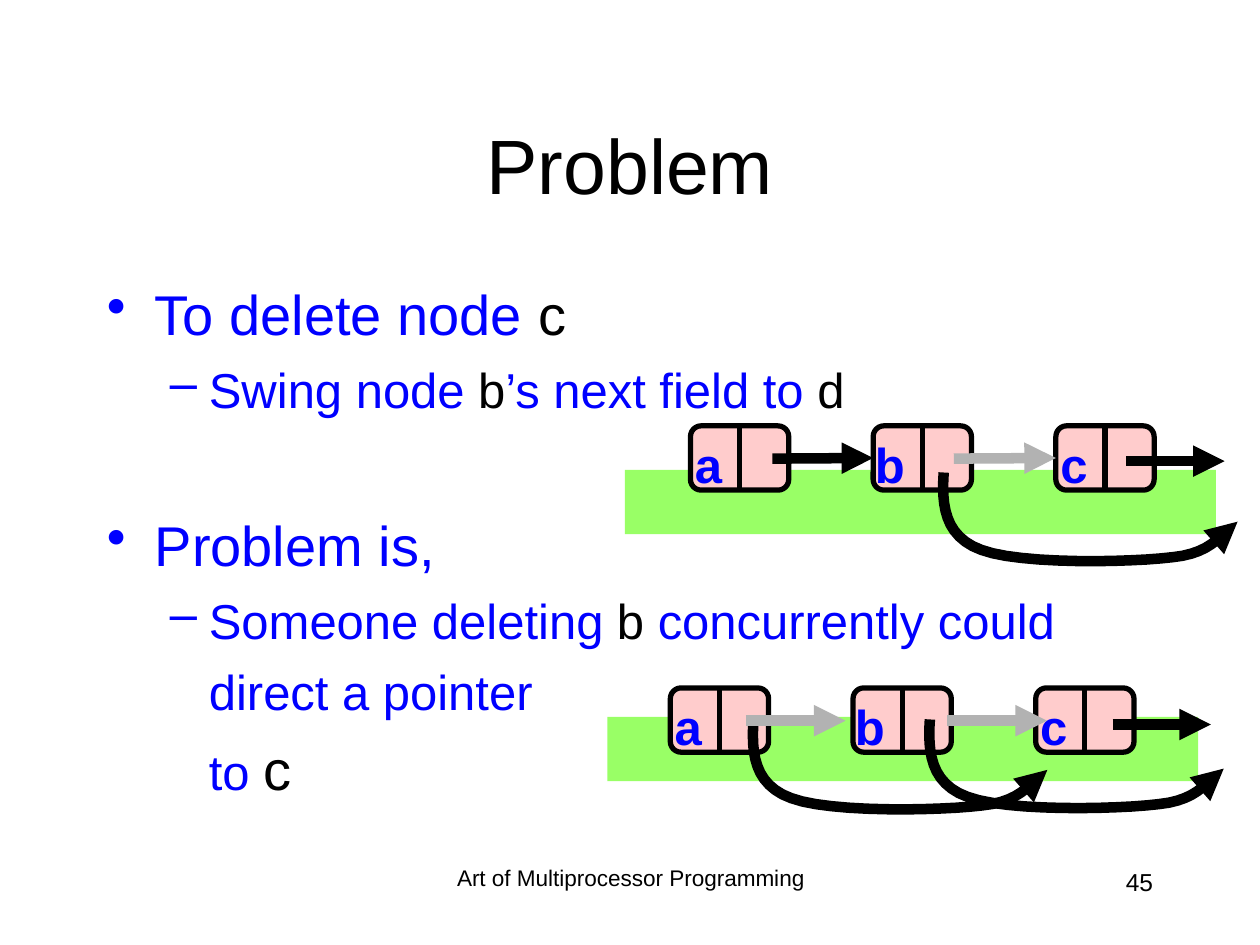
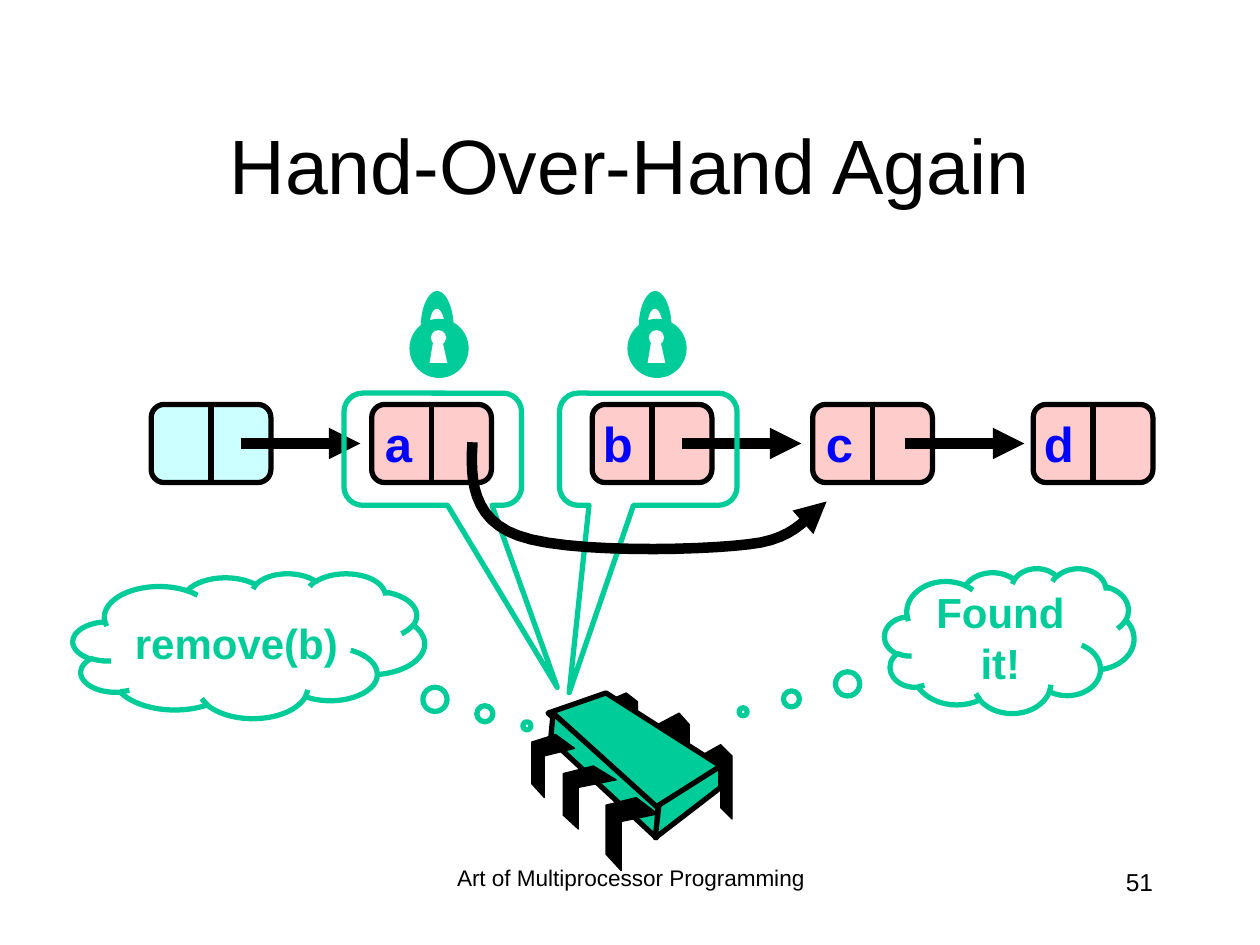
from dataclasses import dataclass
from typing import NamedTuple, Optional

from lxml.etree import SubElement
from pptx import Presentation
from pptx.dml.color import RGBColor
from pptx.enum.shapes import MSO_CONNECTOR, MSO_SHAPE
from pptx.enum.text import MSO_ANCHOR, PP_ALIGN
from pptx.oxml.ns import qn
from pptx.util import Inches, Pt

WIDTH, HEIGHT = Inches(10), Inches(7.5)
COLS, ROWS = 10, 7.5


@dataclass(frozen=True)
class Theme:
    font: str = "Arial"
    black: str = "000000"
    white: str = "FFFFFF"
    blue: str = "0000FF"
    pink: str = "FFCCCC"
    cyan: str = "CCFFFF"
    lime: str = "99FF66"
    gray: str = "B2B2B2"
    green: str = "00CC99"
    title: float = 44
    body: float = 32
    sub: float = 28
    cloud: float = 24
    page: float = 14
    foot: float = 12.9
    hair: float = 0.75
    thin: float = 3
    thick: float = 6


THEME = Theme()


class Box(NamedTuple):
    x: float
    y: float
    w: float
    h: float


class Item(NamedTuple):
    words: tuple
    mark: str
    gap: float
    level: int
    last: float


class Link(NamedTuple):
    x: float
    y: float
    span: float
    color: str = THEME.black
    goal: Optional[int] = None


class Plate(NamedTuple):
    points: tuple
    fill: str = THEME.black
    line: float = THEME.hair


class Bubble(NamedTuple):
    kind: MSO_SHAPE
    box: Box
    tip: tuple
    text: str = ""


MID, RIGHT = PP_ALIGN.CENTER, PP_ALIGN.RIGHT
CLOUD, SPEECH = MSO_SHAPE.CLOUD_CALLOUT, MSO_SHAPE.ROUNDED_RECTANGULAR_CALLOUT

ITEMS = (
    Item(("To delete node ", "c"), "•", 0, 0, THEME.body),
    Item(("Swing node ", "b", "’s next field to ", "d"), "–", 7, 1, THEME.sub),
    Item(("Problem is,",), "•", 53, 0, THEME.body),
    Item(("Someone deleting ", "b", " concurrently could"), "–", 7, 1, THEME.sub),
    Item(("direct a pointer",), "", 7, 1, THEME.sub),
    Item(("to ", "c"), "", 8, 1, THEME.body),
)

HOOK = ((-0.02, 0.3, 0, 0.61, 0.36, 0.74),
        (0.73, 0.88, 1.78, 0.86, 2.19, 0.81),
        (2.6, 0.77, 2.68, 0.54, 2.81, 0.47))

ARCH = ((0.16, 0.21, 0.18, 0.14, 0.22, 0.14),
        (0.25, 0.14, 0.28, 0.21, 0.28, 0.28),
        (0.35, 0.28),
        (0.35, 0.13, 0.29, 0, 0.22, 0),
        (0.15, 0, 0.09, 0.13, 0.09, 0.28))

CHIP = (
    Plate(((5.56, 6), (5.72, 5.91), (5.81, 6), (5.81, 6.5), (5.72, 6.41), (5.72, 6.08), (5.56, 6.16))),
    Plate(((5.22, 5.75), (5.39, 5.66), (5.47, 5.75), (5.47, 6.25), (5.39, 6.16), (5.39, 5.83), (5.22, 5.91))),
    Plate(((4.81, 5.57), (4.97, 5.5), (5.06, 5.57), (5.06, 6), (4.97, 5.93), (4.97, 5.64), (4.81, 5.71))),
    Plate(((4.81, 5.5), (5.72, 6.08), (5.21, 6.43), (4.35, 5.66)), THEME.green, THEME.thin),
    Plate(((4.39, 5.66), (5.22, 6.41), (5.21, 6.65), (4.37, 5.87)), THEME.green, THEME.thin),
    Plate(((5.72, 6.08), (5.72, 6.25), (5.2, 6.65), (5.23, 6.39)), THEME.green, THEME.thin),
    Plate(((5.05, 6.33), (5.22, 6.46), (4.93, 6.52), (4.93, 6.91), (4.81, 6.78), (4.81, 6.39))),
    Plate(((4.71, 6.08), (4.89, 6.19), (4.59, 6.25), (4.59, 6.58), (4.47, 6.47), (4.47, 6.14))),
    Plate(((4.41, 5.83), (4.56, 5.94), (4.32, 6), (4.32, 6.33), (4.22, 6.22), (4.22, 5.89))),
)

BUBBLES = (
    Bubble(SPEECH, Box(4.44, 3.12, 1.41, 0.89), (-0.445, 2.171)),
    Bubble(SPEECH, Box(2.73, 3.12, 1.41, 0.89), (0.701, 2.124)),
    Bubble(CLOUD, Box(0.58, 4.55, 2.79, 1.15), (0.791, 0.553), "remove(b)"),
    Bubble(CLOUD, Box(7.02, 4.51, 1.98, 1.15), (-1.067, 0.491), "Found it!"),
)


def col(n: float) -> int:
    return round(WIDTH * n / COLS)


def row(n: float) -> int:
    return round(HEIGHT * n / ROWS)


def place(box: Box) -> tuple:
    return col(box.x), row(box.y), col(box.w), row(box.h)


def ink(run, size: float, color: str, bold: bool = False) -> None:
    run.font.name, run.font.size, run.font.bold = THEME.font, Pt(size), bold
    run.font.color.rgb = RGBColor.from_string(color)


def fit(frame, text: str, size: float, color: str, align=MID, bold=False, wrap=True, anchor=MSO_ANCHOR.TOP):
    frame.text = text
    frame.word_wrap, frame.vertical_anchor = wrap, anchor
    para = frame.paragraphs[0]
    para.alignment = align
    ink(para.runs[0], size, color, bold)
    return para


def write(slide, box: Box, *text, **style):
    return fit(slide.shapes.add_textbox(*place(box)).text_frame, *text, **style)


def stroke(line, color: str, width: float) -> None:
    line.color.rgb = RGBColor.from_string(color)
    line.width = Pt(width)


def paint(shape, fill: str = "", color: str = "", width: float = THEME.thin):
    shape.shadow.inherit = False
    if fill:
        shape.fill.solid()
        shape.fill.fore_color.rgb = RGBColor.from_string(fill)
    else:
        shape.fill.background()
    if color:
        stroke(shape.line, color, width)
    else:
        shape.line.fill.background()
    return shape


def add(slide, kind: MSO_SHAPE, box: Box, *style):
    return paint(slide.shapes.add_shape(kind, *place(box)), *style)


def point(shape) -> None:
    SubElement(shape.element.spPr.find(qn("a:ln")), qn("a:tailEnd"), type="triangle")


def join(slide, x: float, y: float, to_x: float, to_y: float, color: str, width: float):
    wire = slide.shapes.add_connector(MSO_CONNECTOR.STRAIGHT, col(x), row(y), col(to_x), row(to_y))
    stroke(wire.line, color, width)
    SubElement(wire.element.spPr, qn("a:effectLst"))
    return wire


def trace(start: tuple, moves: tuple, steps: int = 12) -> list:
    dots = [start]
    for move in moves:
        if len(move) == 2:
            dots.append(move)
            continue
        ends = (dots[-1], move[:2], move[2:4], move[4:])
        for step in range(1, steps + 1):
            t = step / steps
            pulls = ((1 - t) ** 3, 3 * t * (1 - t) ** 2, 3 * t * t * (1 - t), t ** 3)
            dots.append(tuple(sum(p * end[axis] for p, end in zip(pulls, ends)) for axis in (0, 1)))
    return dots


def outline(slide, dots, x: float = 0, y: float = 0, scale: float = 1, close: bool = True):
    spots = [(col(x + a * scale), row(y + b * scale)) for a, b in dots]
    pen = slide.shapes.build_freeform(*spots[0])
    pen.add_line_segments(spots[1:], close=close)
    return pen.convert_to_shape()


def hook(slide, x: float, y: float, scale: float = 1) -> None:
    curve = outline(slide, trace((0, 0), HOOK), x, y, scale, False)
    point(paint(curve, "", THEME.black, THEME.thick))


def node(slide, box: Box, label: str, edge: float, fill: str = THEME.pink):
    cell = add(slide, MSO_SHAPE.ROUNDED_RECTANGLE, box, fill, THEME.black)
    mid = box.x + box.w / 2
    wall = join(slide, mid, box.y, mid, box.y + box.h, THEME.black, THEME.thin)
    wall.begin_connect(cell, 0)
    wall.end_connect(cell, 2)
    if label:
        spot = Box(box.x + edge - 0.44, box.y + 0.02, 0.44, 0.57)
        write(slide, spot, label, THEME.sub, THEME.blue, align=RIGHT, bold=True, wrap=False)
    return cell


def arrow(slide, link: Link, cells: list) -> None:
    wire = join(slide, link.x, link.y, link.x + link.span, link.y, link.color, THEME.thick)
    point(wire)
    if link.goal is not None:
        wire.end_connect(cells[link.goal], 1)


def lock(slide, x: float) -> None:
    add(slide, MSO_SHAPE.OVAL, Box(x, 2.53, 0.47, 0.47), THEME.green)
    add(slide, MSO_SHAPE.OVAL, Box(x + 0.17, 2.62, 0.12, 0.12), THEME.white)
    slot = ((0.16, 0.18), (0.19, 0), (0.26, 0), (0.3, 0.18))
    paint(outline(slide, slot, x, 2.7), THEME.white)
    paint(outline(slide, trace((0.16, 0.28), ARCH), x, 2.31), THEME.green)


def chain(slide, x: float, y: float, links: tuple, hooks: tuple) -> None:
    cells = [node(slide, Box(x + k * 1.45, y, 0.78, 0.51), name, 0.35) for k, name in enumerate("abc")]
    for spot in hooks:
        hook(slide, *spot, 0.83)
    for link in links:
        arrow(slide, link, cells)


def bullets(slide) -> None:
    frame = slide.shapes.add_textbox(*place(Box(0.75, 2.17, 8.5, 4.5))).text_frame
    frame.word_wrap = True
    for k, item in enumerate(ITEMS):
        para = frame.add_paragraph() if k else frame.paragraphs[0]
        para.level, para.space_before = item.level, Pt(item.gap)
        props = para._p.get_or_add_pPr()
        props.set("marL", str(col((0.38, 0.81)[item.level])))
        props.set("indent", str(-col((0.38, 0.31)[item.level]) if item.mark else 0))
        if item.mark:
            SubElement(props, qn("a:buChar"), char=item.mark)
        else:
            SubElement(props, qn("a:buNone"))
        base = (THEME.body, THEME.sub)[item.level]
        for n, text in enumerate(item.words):
            run = para.add_run()
            run.text = text
            ink(run, item.last if n % 2 else base, THEME.black if n % 2 else THEME.blue)


def start(deck, title: str, page: str):
    slide = deck.slides.add_slide(deck.slide_layouts[6])
    foot = write(slide, Box(3.42, 6.83, 3.17, 0.5), "Art of Multiprocessor Programming", THEME.foot, THEME.black)
    foot.line_spacing = 0.9
    write(slide, Box(7.17, 6.83, 2.08, 0.5), page, THEME.page, THEME.black, align=RIGHT)
    write(slide, Box(0.75, 0.67, 8.5, 1.25), title, THEME.title, THEME.black, anchor=MSO_ANCHOR.MIDDLE)
    return slide


def problem(deck) -> None:
    slide = start(deck, "Problem", "45")
    for x, y in ((4.82, 5.69), (4.96, 3.73)):
        add(slide, MSO_SHAPE.RECTANGLE, Box(x, y, 4.69, 0.51), THEME.lime)
    bullets(slide)
    chain(slide, 5.48, 3.38,
          (Link(6.13, 3.64, 0.79, goal=1), Link(7.57, 3.64, 0.79, THEME.gray, 2), Link(8.94, 3.66, 0.78)),
          ((7.49, 3.75),))
    chain(slide, 5.32, 5.46,
          (Link(5.92, 5.72, 0.79, THEME.gray), Link(7.52, 5.72, 0.79, THEME.gray), Link(8.83, 5.75, 0.78)),
          ((5.98, 5.72), (7.38, 5.71)))


def again(deck) -> None:
    slide = start(deck, "Hand-Over-Hand Again", "51")
    cells = [node(slide, Box(1.2 + k * 1.75, 3.21, 0.95, 0.62), name, 0.42, THEME.pink if name else THEME.cyan)
             for k, name in enumerate(("", "a", "b", "c", "d"))]
    for x in (1.91, 5.41, 7.18):
        arrow(slide, Link(x, 3.52, 0.95), cells)
    for x in (3.25, 4.98):
        lock(slide, x)
    for plate in CHIP:
        paint(outline(slide, plate.points), plate.fill, THEME.black, plate.line)
    for kind, box, tip, text in BUBBLES:
        shape = add(slide, kind, box, "", THEME.green)
        shape.adjustments[0], shape.adjustments[1] = tip
        if text:
            fit(shape.text_frame, text, THEME.cloud, THEME.green, bold=True, anchor=MSO_ANCHOR.MIDDLE)
    hook(slide, 3.75, 3.51)


def main() -> None:
    deck = Presentation()
    deck.slide_width, deck.slide_height = WIDTH, HEIGHT
    problem(deck)
    again(deck)
    deck.save("out.pptx")


if __name__ == "__main__":
    main()
